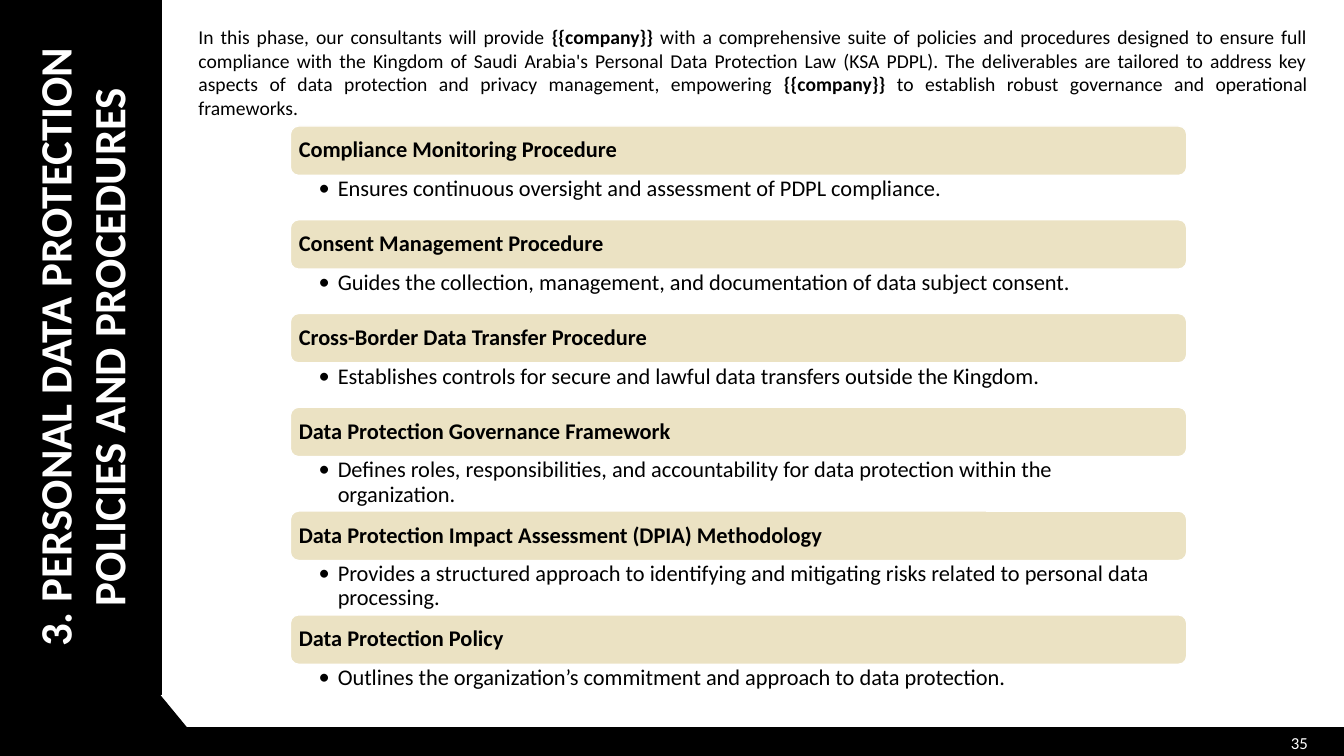
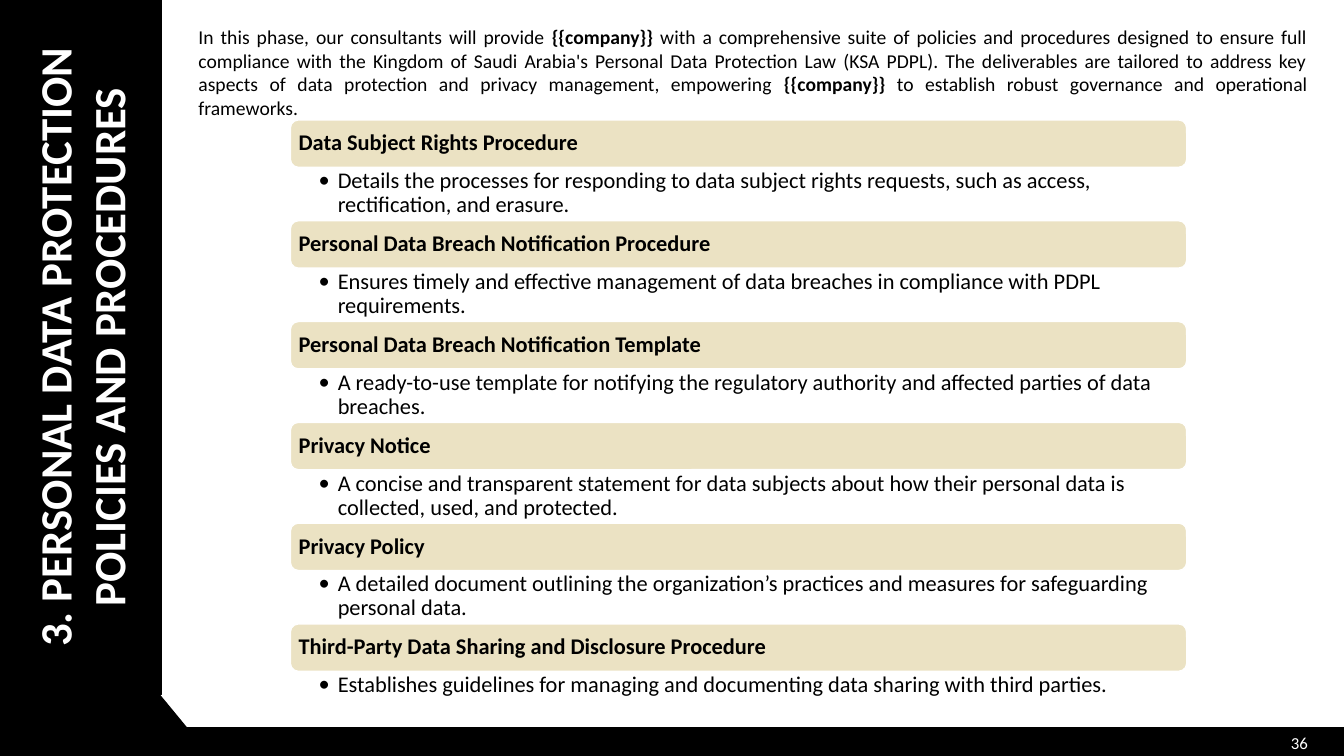
from dataclasses import dataclass

from lxml.etree import SubElement
from pptx import Presentation
from pptx.dml.color import RGBColor
from pptx.enum.shapes import MSO_SHAPE
from pptx.enum.text import MSO_ANCHOR, MSO_AUTO_SIZE, PP_ALIGN
from pptx.oxml.ns import qn
from pptx.util import Inches, Pt

COLORS = {"black": "000000", "white": "FFFFFF", "sand": "EBE2C3"}
FONT = "Calibri"
TITLE = "3. PERSONAL DATA PROTECTION POLICIES AND PROCEDURES"
COMPANY = "{{company}}"
INTRO = [  # text, bold
    ("In this phase, our consultants will provide ", False),
    (COMPANY, True),
    (" with a comprehensive suite of policies and procedures designed to ensure full "
     "compliance with the Kingdom of Saudi Arabia's Personal Data Protection Law (KSA PDPL). "
     "The deliverables are tailored to address key aspects of data protection and privacy "
     "management, empowering ", False),
    (COMPANY + " ", True),
    ("to establish robust governance and operational frameworks.", False),
]
FOOTER_OUTLINE = [(0, 6.88), (1.57, 6.88), (1.85, 7.22), (13.33, 7.22), (13.33, 7.5), (0, 7.5)]
TITLE_BAND_WIDTH, TITLE_BAND_HEIGHT = 1.6, 6.89
LIST_LEFT, LIST_WIDTH = 2.88, 8.89
BULLET_INDENT = 0.19


@dataclass
class Deliverable:
    name: str
    purpose: str
    purpose_height: float


@dataclass
class DeliverablePage:
    number: int
    top: float
    name_height: float
    deliverables: list[Deliverable]


PAGES = [
    DeliverablePage(35, 1.25, 0.49, [
        Deliverable("Compliance Monitoring Procedure",
                    "Ensures continuous oversight and assessment of PDPL compliance.", 0.44),
        Deliverable("Consent Management Procedure",
                    "Guides the collection, management, and documentation of data subject "
                    "consent.", 0.44),
        Deliverable("Cross-Border Data Transfer Procedure",
                    "Establishes controls for secure and lawful data transfers outside the "
                    "Kingdom.", 0.44),
        Deliverable("Data Protection Governance Framework",
                    "Defines roles, responsibilities, and accountability for data protection "
                    "within the organization.", 0.54),
        Deliverable("Data Protection Impact Assessment (DPIA) Methodology",
                    "Provides a structured approach to identifying and mitigating risks related "
                    "to personal data processing.", 0.54),
        Deliverable("Data Protection Policy",
                    "Outlines the organization’s commitment and approach to data protection.",
                    0.44),
    ]),
    DeliverablePage(36, 1.19, 0.47, [
        Deliverable("Data Subject Rights Procedure",
                    "Details the processes for responding to data subject rights requests, such "
                    "as access, rectification, and erasure.", 0.53),
        Deliverable("Personal Data Breach Notification Procedure",
                    "Ensures timely and effective management of data breaches in compliance with "
                    "PDPL requirements.", 0.53),
        Deliverable("Personal Data Breach Notification Template",
                    "A ready-to-use template for notifying the regulatory authority and affected "
                    "parties of data breaches.", 0.53),
        Deliverable("Privacy Notice",
                    "A concise and transparent statement for data subjects about how their "
                    "personal data is collected, used, and protected.", 0.53),
        Deliverable("Privacy Policy",
                    "A detailed document outlining the organization’s practices and measures for "
                    "safeguarding personal data.", 0.53),
        Deliverable("Third-Party Data Sharing and Disclosure Procedure",
                    "Establishes guidelines for managing and documenting data sharing with third "
                    "parties.", 0.43),
    ]),
]


def color(name: str) -> RGBColor:
    return RGBColor.from_string(COLORS[name])


def paint(shape, fill: str, line: str) -> None:
    shape.fill.solid()
    shape.fill.fore_color.rgb = color(fill)
    shape.line.color.rgb = color(line)
    shape.line.width = Pt(1)


def style_runs(paragraph, size: float, name: str, bold: bool = False) -> None:
    for run in paragraph.runs:
        run.font.name = FONT
        run.font.size = Pt(size)
        run.font.bold = bold
        run.font.color.rgb = color(name)


def add_text_box(slide, left: float, top: float, width: float, height: float):
    box = slide.shapes.add_textbox(Inches(left), Inches(top), Inches(width), Inches(height))
    box.text_frame.word_wrap = True
    return box.text_frame


def add_footer(slide, number: int) -> None:
    points = [(Inches(x), Inches(y)) for x, y in FOOTER_OUTLINE]
    builder = slide.shapes.build_freeform(*points[0])
    builder.add_line_segments(points[1:], close=True)
    band = builder.convert_to_shape()
    band.shadow.inherit = False
    paint(band, "black", "black")

    page_number = add_text_box(slide, 10.07, 7.17, 3, 0.4)
    page_number.vertical_anchor = MSO_ANCHOR.MIDDLE
    page_number.text = str(number)
    page_number.paragraphs[0].alignment = PP_ALIGN.RIGHT
    style_runs(page_number.paragraphs[0], 12, "white")


def format_title(slide) -> None:
    title = slide.shapes.title
    # A quarter turn about the centre of the band makes the title read upwards
    offset = (TITLE_BAND_HEIGHT - TITLE_BAND_WIDTH) / 2
    title.left, title.top = Inches(-offset), Inches(offset)
    title.width, title.height = Inches(TITLE_BAND_HEIGHT), Inches(TITLE_BAND_WIDTH)
    title.rotation = 270
    paint(title, "black", "black")
    frame = title.text_frame
    frame.text = TITLE
    frame.word_wrap = True
    frame.auto_size = MSO_AUTO_SIZE.NONE
    frame.vertical_anchor = MSO_ANCHOR.MIDDLE
    frame.paragraphs[0].alignment = PP_ALIGN.CENTER
    style_runs(frame.paragraphs[0], 32, "white", bold=True)


def add_intro(slide) -> None:
    frame = add_text_box(slide, 1.87, 0.2, 11.2, 1.04)
    frame.auto_size = MSO_AUTO_SIZE.SHAPE_TO_FIT_TEXT
    paragraph = frame.paragraphs[0]
    paragraph.alignment = PP_ALIGN.JUSTIFY
    for text, _ in INTRO:
        paragraph.add_run().text = text
    style_runs(paragraph, 14, "black")
    for run, (_, bold) in zip(paragraph.runs, INTRO):
        run.font.bold = bold


def add_name_bar(slide, name: str, top: float, height: float) -> None:
    bar = slide.shapes.add_shape(MSO_SHAPE.ROUNDED_RECTANGLE, Inches(LIST_LEFT), Inches(top),
                                 Inches(LIST_WIDTH), Inches(height))
    bar.shadow.inherit = False
    paint(bar, "sand", "white")
    frame = bar.text_frame
    frame.word_wrap = True
    frame.margin_left = frame.margin_right = Inches(0.06)
    frame.vertical_anchor = MSO_ANCHOR.MIDDLE
    frame.text = name
    paragraph = frame.paragraphs[0]
    paragraph.alignment = PP_ALIGN.LEFT
    paragraph.line_spacing = 0.9
    style_runs(paragraph, 16, "black", bold=True)


def add_purpose(slide, purpose: str, top: float, height: float) -> None:
    frame = add_text_box(slide, LIST_LEFT, top, LIST_WIDTH, height)
    frame.margin_left, frame.margin_right = Inches(0.28), Inches(0.12)
    frame.margin_top = frame.margin_bottom = Inches(0.02)
    frame.text = purpose
    paragraph = frame.paragraphs[0]
    paragraph.line_spacing = 0.9
    properties = paragraph._p.get_or_add_pPr()
    properties.set("marL", str(Inches(BULLET_INDENT)))
    properties.set("indent", str(-Inches(BULLET_INDENT)))
    SubElement(properties, qn("a:buFont")).set("typeface", FONT)
    SubElement(properties, qn("a:buChar")).set("char", "•")
    style_runs(paragraph, 16, "black")


def add_deliverables(slide, page: DeliverablePage) -> None:
    top = page.top
    for item in page.deliverables:
        add_name_bar(slide, item.name, top, page.name_height)
        top += page.name_height
        add_purpose(slide, item.purpose, top, item.purpose_height)
        top += item.purpose_height


def main() -> None:
    prs = Presentation()
    prs.slide_width, prs.slide_height = Inches(13.33), Inches(7.5)
    title_only = prs.slide_layouts[5]
    for page in PAGES:
        slide = prs.slides.add_slide(title_only)
        add_footer(slide, page.number)
        format_title(slide)
        add_intro(slide)
        add_deliverables(slide, page)
    prs.save("out.pptx")


if __name__ == "__main__":
    main()
